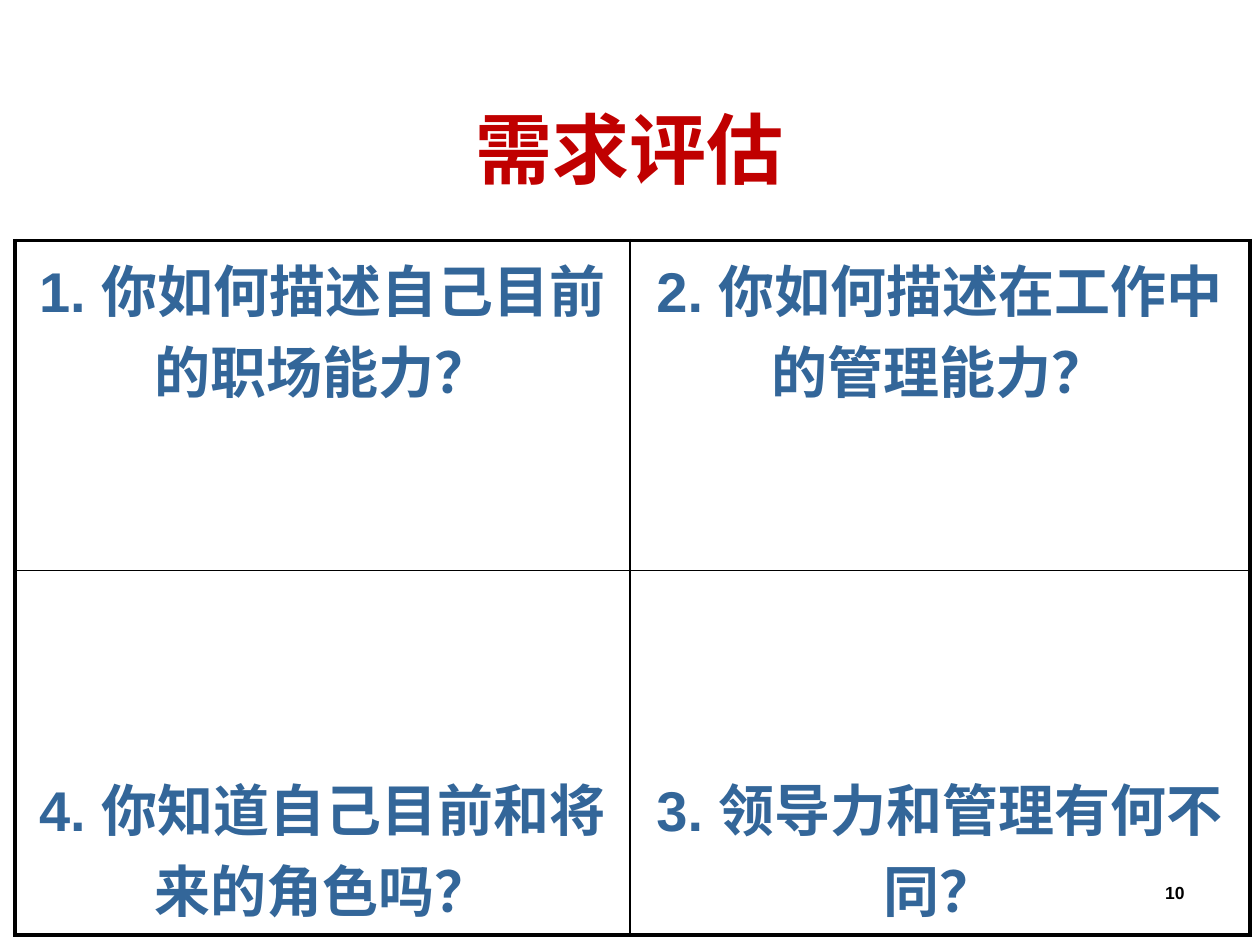
from lxml import etree
from pptx import Presentation
from pptx.dml.color import RGBColor
from pptx.enum.text import MSO_ANCHOR, PP_ALIGN
from pptx.oxml.ns import qn
from pptx.util import Inches, Pt

TOP, MIDDLE, BOTTOM = MSO_ANCHOR.TOP, MSO_ANCHOR.MIDDLE, MSO_ANCHOR.BOTTOM
CENTER, RIGHT = PP_ALIGN.CENTER, PP_ALIGN.RIGHT

COLORS = {"title": "C00000", "question": "336699", "black": "000000"}
TITLE = "需求评估"
PAGE_NUMBER = "10"
QUESTIONS = [
    ["1. 你如何描述自己目前的职场能力？", "2. 你如何描述在工作中的管理能力？"],
    ["4. 你知道自己目前和将来的角色吗？", "3. 领导力和管理有何不同？"],
]
COLUMN_WIDTHS = [4.88, 4.92]
ROW_HEIGHTS = [2.62, 2.89]
ROW_ANCHORS = [TOP, BOTTOM]
OUTER_LINE, INNER_LINE = 2.25, 1


def write(frame, text, size, color, align):
    frame.text = text
    para = frame.paragraphs[0]
    para.alignment = align
    font = para.runs[0].font
    font.name = "Arial"
    font.size = Pt(size)
    font.bold = True
    font.color.rgb = RGBColor.from_string(COLORS[color])


def add_borders(cell, row, column):
    outer_sides = {
        "a:lnL": column == 0,
        "a:lnR": column == len(COLUMN_WIDTHS) - 1,
        "a:lnT": row == 0,
        "a:lnB": row == len(ROW_HEIGHTS) - 1,
    }
    properties = cell._tc.get_or_add_tcPr()
    for position, (tag, is_outer) in enumerate(outer_sides.items()):
        width = Pt(OUTER_LINE if is_outer else INNER_LINE)
        line = etree.Element(qn(tag), w=str(int(width)))
        fill = etree.SubElement(line, qn("a:solidFill"))
        etree.SubElement(fill, qn("a:srgbClr"), val=COLORS["black"])
        properties.insert(position, line)


def main():
    deck = Presentation()
    deck.slide_width, deck.slide_height = Inches(10), Inches(7.5)
    page = deck.slides.add_slide(deck.slide_layouts[5])

    title = page.shapes.title
    title.left, title.top = Inches(0.43), Inches(0.84)
    title.width, title.height = Inches(9.14), Inches(1.08)
    title.text_frame.vertical_anchor = TOP
    write(title.text_frame, TITLE, 44, "title", CENTER)
    title.text_frame.paragraphs[0].line_spacing = 0.9

    frame = page.shapes.add_table(
        len(ROW_HEIGHTS), len(COLUMN_WIDTHS), Inches(0.12), Inches(1.91),
        Inches(sum(COLUMN_WIDTHS)), Inches(sum(ROW_HEIGHTS)))
    table = frame.table
    table.first_row = table.horz_banding = False
    for column, width in zip(table.columns, COLUMN_WIDTHS):
        column.width = Inches(width)
    for row, height in zip(table.rows, ROW_HEIGHTS):
        row.height = Inches(height)
    for row, questions in enumerate(QUESTIONS):
        for column, question in enumerate(questions):
            cell = table.cell(row, column)
            cell.fill.background()
            cell.vertical_anchor = ROW_ANCHORS[row]
            write(cell.text_frame, question, 32, "question", CENTER)
            add_borders(cell, row, column)

    box = page.shapes.add_textbox(Inches(7.17), Inches(6.83), Inches(2.33), Inches(0.5))
    box.text_frame.word_wrap = True
    box.text_frame.vertical_anchor = MIDDLE
    write(box.text_frame, PAGE_NUMBER, 10, "black", RIGHT)

    deck.save("out.pptx")


if __name__ == "__main__":
    main()
